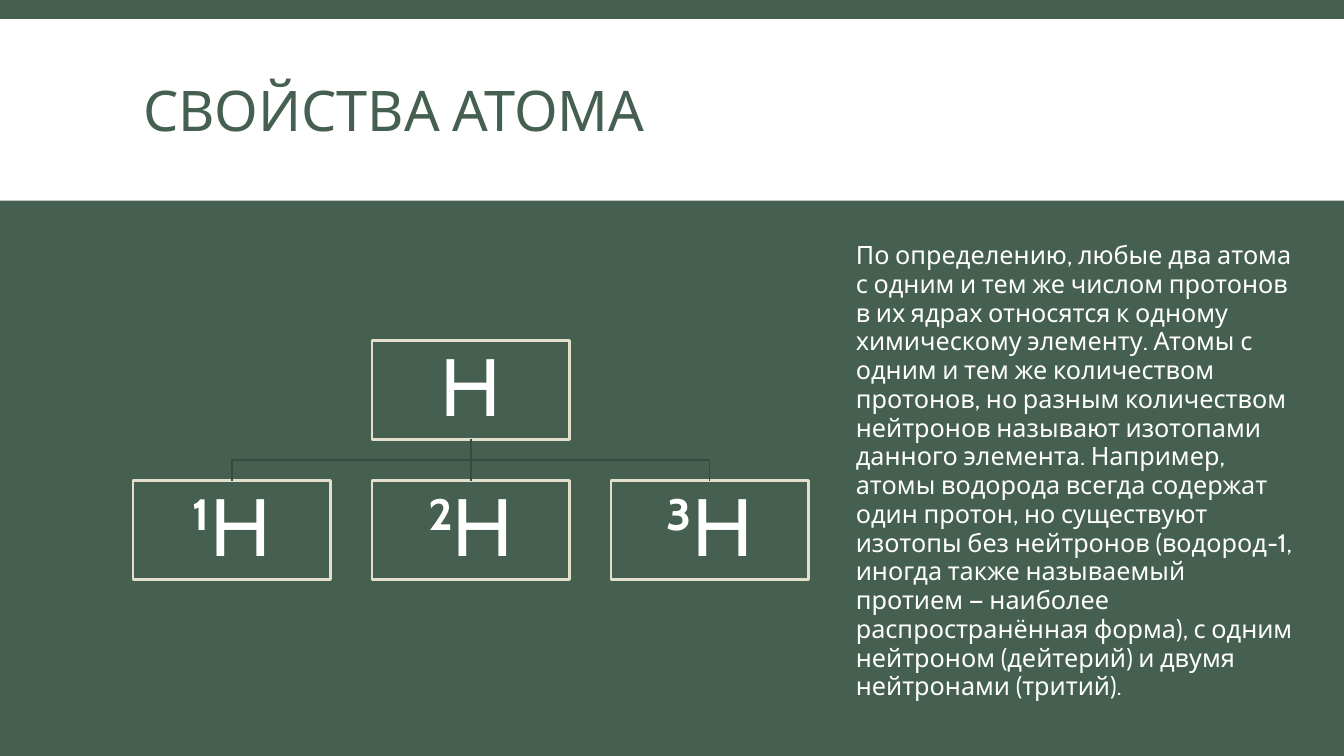
from lxml.etree import SubElement
from pptx import Presentation
from pptx.dml.color import RGBColor
from pptx.enum.shapes import MSO_CONNECTOR, MSO_SHAPE
from pptx.enum.text import MSO_ANCHOR, PP_ALIGN
from pptx.oxml.ns import qn
from pptx.util import Inches, Pt

GREEN = RGBColor(0x45, 0x5F, 0x51)
DARK_GREEN = RGBColor(0x37, 0x4C, 0x41)
CREAM = RGBColor(0xE2, 0xDF, 0xCC)
WHITE = RGBColor(0xFF, 0xFF, 0xFF)
FONT = "Cabin"
BOX_WIDTH, BOX_HEIGHT = 1.96, 0.98
PARENT_LEFT, PARENT_TOP = 3.69, 3.38
CHILD_TOP, CHILD_STEP = 4.77, 2.37
ISOTOPES = ["¹H", "²H", "³H"]
DESCRIPTION = (
    "По определению, любые два атома с одним и тем же числом протонов в их ядрах "
    "относятся к одному химическому элементу. Атомы с одним и тем же количеством "
    "протонов, но разным количеством нейтронов называют изотопами данного элемента. "
    "Например, атомы водорода всегда содержат один протон, но существуют изотопы без "
    "нейтронов (водород-1, иногда также называемый протием — наиболее распространённая "
    "форма), с одним нейтроном (дейтерий) и двумя нейтронами (тритий)."
)


def write_text(frame, text, size, color, line_spacing, alignment=PP_ALIGN.LEFT):
    """Write one formatted run into the first paragraph of a text frame."""
    frame.word_wrap = True
    paragraph = frame.paragraphs[0]
    paragraph.alignment = alignment
    paragraph.line_spacing = line_spacing
    run = paragraph.add_run()
    run.text = text
    run.font.name = FONT
    run.font.size = Pt(size)
    run.font.color.rgb = color


def add_rectangle(slide, left, top, width, height, fill):
    """Add a plain filled rectangle without outline."""
    shape = slide.shapes.add_shape(
        MSO_SHAPE.RECTANGLE, Inches(left), Inches(top), Inches(width), Inches(height)
    )
    shape.shadow.inherit = False
    shape.fill.solid()
    shape.fill.fore_color.rgb = fill
    shape.line.fill.background()
    return shape


def add_title(slide, text):
    """Place and format the slide title."""
    title = slide.shapes.title
    title.left, title.top = Inches(1.32), Inches(0.31)
    title.width, title.height = Inches(10.7), Inches(1.65)
    title.text_frame.vertical_anchor = MSO_ANCHOR.MIDDLE
    write_text(title.text_frame, text, 40, GREEN, 0.85)


def add_atom(slide, left, top, symbol):
    """Add an outlined box with an atom symbol."""
    box = add_rectangle(slide, left, top, BOX_WIDTH, BOX_HEIGHT, GREEN)
    box.line.color.rgb = CREAM
    box.line.width = Pt(2)
    frame = box.text_frame
    frame.margin_left = frame.margin_right = Inches(0.04)
    frame.margin_top = frame.margin_bottom = Inches(0.04)
    frame.vertical_anchor = MSO_ANCHOR.MIDDLE
    write_text(frame, symbol, 58, WHITE, 0.9, PP_ALIGN.CENTER)
    return box


def style_branch(branch):
    """Give a branch its thin dark line."""
    branch.line.color.rgb = DARK_GREEN
    branch.line.width = Pt(1)


def add_straight_branch(slide, parent, child):
    """Join the parent to the child directly below it."""
    connector = slide.shapes.add_connector(MSO_CONNECTOR.STRAIGHT, 0, 0, 0, 0)
    connector.begin_connect(parent, 2)
    connector.end_connect(child, 0)
    style_branch(connector)
    SubElement(connector._element.spPr, qn("a:effectLst"))


def add_bent_branch(slide, parent, child):
    """Draw an open path from the parent down and across to the child."""
    start_x = parent.left + parent.width // 2
    start_y = parent.top + parent.height
    end_x = child.left + child.width // 2
    middle_y = (start_y + child.top) // 2
    builder = slide.shapes.build_freeform(start_x, start_y)
    builder.add_line_segments(
        [(start_x, middle_y), (end_x, middle_y), (end_x, child.top)], close=False
    )
    branch = builder.convert_to_shape()
    branch.shadow.inherit = False
    branch.fill.background()
    style_branch(branch)


def add_isotope_tree(slide):
    """Build the tree of hydrogen isotopes."""
    parent = add_atom(slide, PARENT_LEFT, PARENT_TOP, "H")
    for index, symbol in enumerate(ISOTOPES):
        offset = index - 1
        child = add_atom(slide, PARENT_LEFT + offset * CHILD_STEP, CHILD_TOP, symbol)
        add_branch = add_bent_branch if offset else add_straight_branch
        add_branch(slide, parent, child)


def add_description(slide):
    """Add the explanatory paragraph on the right."""
    box = slide.shapes.add_textbox(Inches(8.39), Inches(2.35), Inches(4.53), Inches(4.47))
    write_text(box.text_frame, DESCRIPTION, 18, WHITE, 0.95)


def main():
    """Create and save the presentation."""
    presentation = Presentation()
    presentation.slide_width = Inches(13.33)
    presentation.slide_height = Inches(7.5)
    slide = presentation.slides.add_slide(presentation.slide_layouts[5])
    slide.background.fill.solid()
    slide.background.fill.fore_color.rgb = GREEN
    band = add_rectangle(slide, 0, 0.19, 13.33, 1.8, WHITE)
    slide.shapes._spTree.insert(2, band._element)
    add_title(slide, "СВОЙСТВА АТОМА")
    add_isotope_tree(slide)
    add_description(slide)
    presentation.save("out.pptx")


if __name__ == "__main__":
    main()
